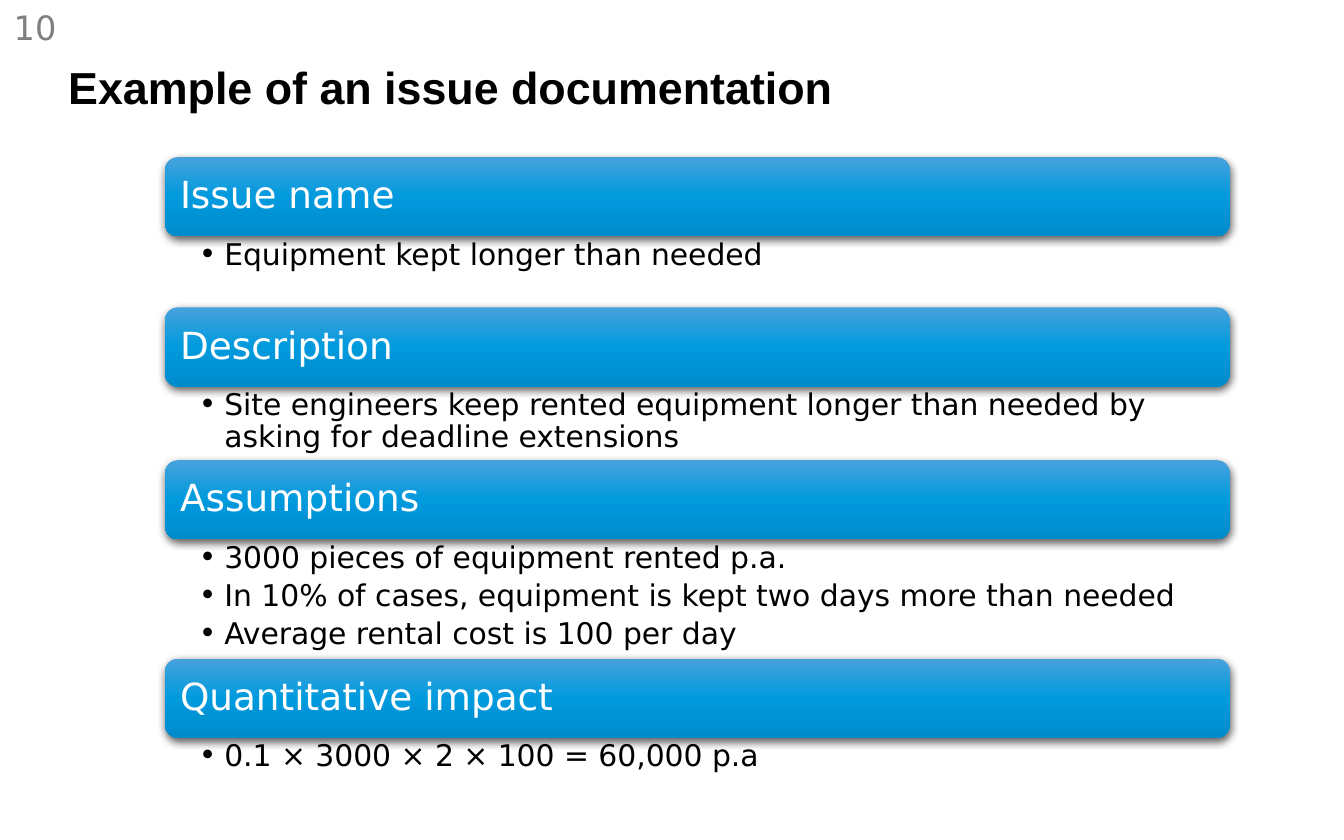
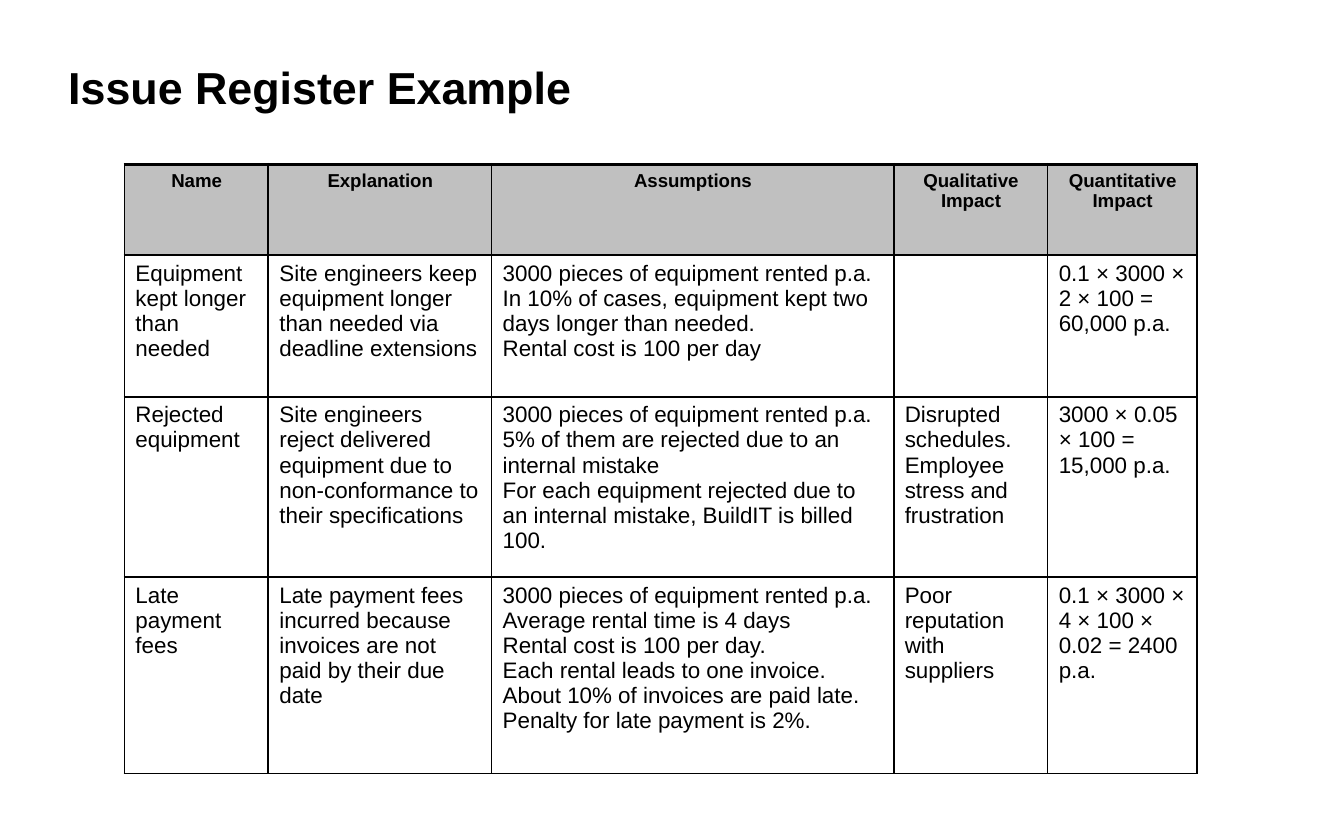
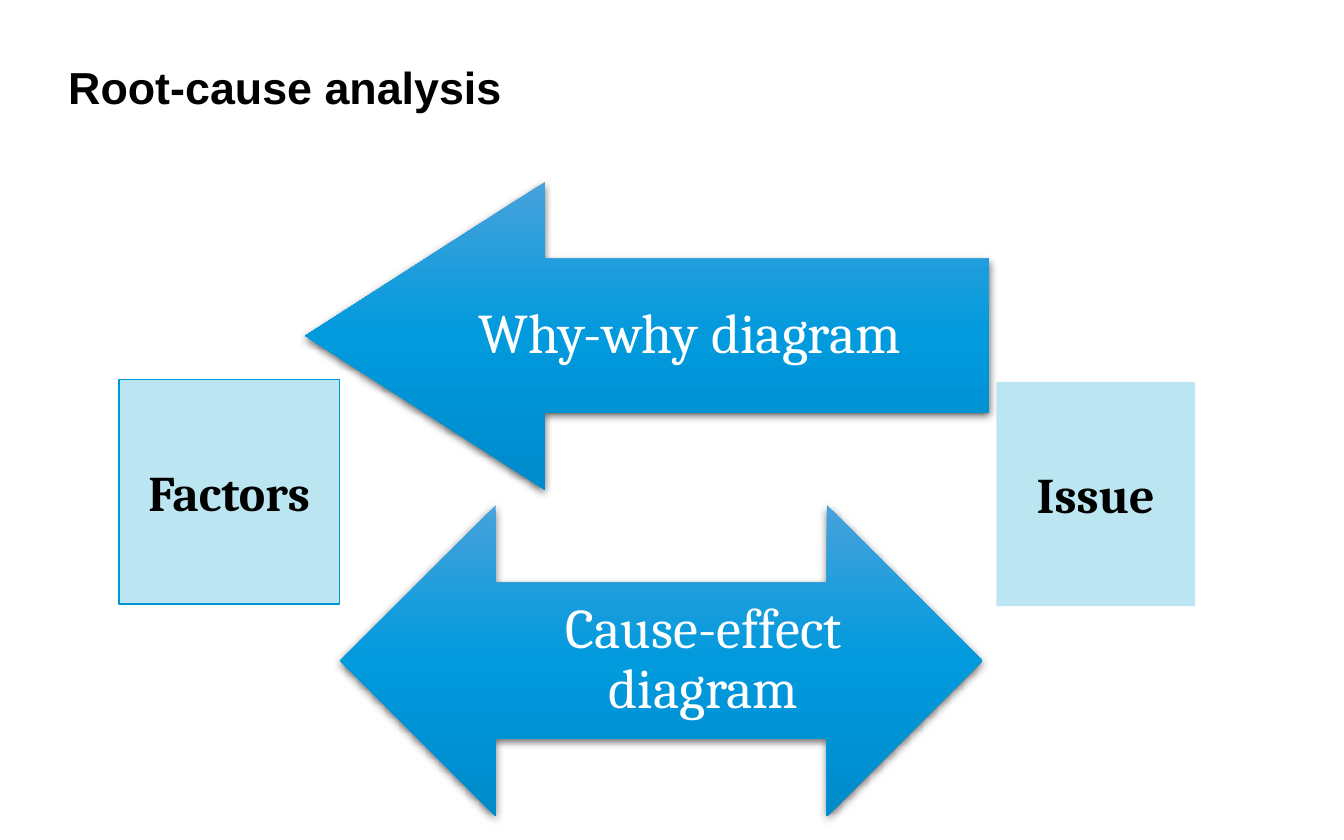
from dataclasses import dataclass

from lxml import etree
from pptx import Presentation
from pptx.dml.color import RGBColor
from pptx.enum.shapes import MSO_SHAPE
from pptx.enum.text import MSO_ANCHOR, PP_ALIGN
from pptx.oxml import parse_xml
from pptx.oxml.ns import nsdecls, qn
from pptx.util import Cm, Pt

ROUNDED = MSO_SHAPE.ROUNDED_RECTANGLE
RECTANGLE = MSO_SHAPE.RECTANGLE
DOUBLE_ARROW = MSO_SHAPE.LEFT_RIGHT_ARROW
TOP, MIDDLE = MSO_ANCHOR.TOP, MSO_ANCHOR.MIDDLE
LEFT, CENTER = PP_ALIGN.LEFT, PP_ALIGN.CENTER

BLACK = RGBColor(0x00, 0x00, 0x00)
WHITE = RGBColor(0xFF, 0xFF, 0xFF)
GRAY = RGBColor(0x7F, 0x7F, 0x7F)
HEADER_GRAY = RGBColor(0xC0, 0xC0, 0xC0)
PALE_BLUE = RGBColor(0xBC, 0xE5, 0xF2)
OUTLINE_BLUE = RGBColor(0x00, 0x96, 0xD3)
GRADIENT_STOPS = (
    (0, RGBColor(0x47, 0xA2, 0xDC)),
    (50, RGBColor(0x00, 0x9A, 0xDD)),
    (100, RGBColor(0x00, 0x8B, 0xCB)),
)


@dataclass(frozen=True)
class Box:
    """Place and size in centimetres."""
    left: float
    top: float
    width: float
    height: float

    def lengths(self):
        return Cm(self.left), Cm(self.top), Cm(self.width), Cm(self.height)


@dataclass(frozen=True)
class TextStyle:
    font: str
    size: float
    color: RGBColor = BLACK
    bold: bool = False
    align: PP_ALIGN = LEFT
    line_spacing: float = 1.0
    space_between: float = 0
    bullet: str = ""


@dataclass(frozen=True)
class Section:
    heading: str
    bullets: tuple[str, ...]
    body_height: float


@dataclass(frozen=True)
class Concept:
    name: str
    box: Box
    outlined: bool


TITLE_BOX = Box(1.29, 0.38, 19, 2.51)
NUMBER_BOX = Box(0, 0, 8.33, 8.33)
WHITE_BANDS = (Box(0.81, 2.72, 25.37, 0.66), Box(20.42, 14.12, 5.13, 1.93))
TITLE = TextStyle("Arial", 24, bold=True)
NUMBER = TextStyle("DejaVu Sans", 18, GRAY)
HEADING = TextStyle("DejaVu Sans", 20, WHITE, line_spacing=0.9)
BULLETS = TextStyle("DejaVu Sans", 16, line_spacing=0.9, space_between=3.2, bullet="•")
TABLE_HEADER = TextStyle("Arial", 10, bold=True, align=CENTER)
TABLE_BODY = TextStyle("Arial", 12)
ARROW_LABEL = TextStyle("Cambria", 30, WHITE, align=CENTER, line_spacing=0.9)
CONCEPT_LABEL = TextStyle("Cambria", 26.7, bold=True, align=CENTER)

BULLET_INDENT = Cm(0.48)
ARROW_MARGINS = (2.29, 0, 0.69, 0)

SECTIONS_LEFT, SECTIONS_TOP, SECTIONS_WIDTH = 3.12, 2.97, 20.12
HEADING_HEIGHT = 1.5
SECTIONS = (
    Section("Issue name", ("Equipment kept longer than needed",), 1.34),
    Section(
        "Description",
        ("Site engineers keep rented equipment longer than needed by "
         "asking for deadline extensions",),
        1.39,
    ),
    Section(
        "Assumptions",
        ("3000 pieces of equipment rented p.a.",
         "In 10% of cases, equipment is kept two days more than needed",
         "Average rental cost is 100 per day"),
        2.25,
    ),
    Section("Quantitative impact", ("0.1 × 3000 × 2 × 100 = 60,000 p.a",), 1.34),
)

REGISTER_LEFT, REGISTER_TOP = 2.35, 3.11
COLUMN_WIDTHS = (2.72, 4.22, 7.6, 2.91, 2.82)
ROW_HEIGHTS = (1.71, 2.68, 3.41, 3.71)
REGISTER = (
    (("Name",), ("Explanation",), ("Assumptions",),
     ("Qualitative Impact",), ("Quantitative Impact",)),
    (
        ("Equipment kept longer than needed",),
        ("Site engineers keep equipment longer than needed via deadline extensions",),
        ("3000 pieces of equipment rented p.a.",
         "In 10% of cases, equipment kept two days longer than needed.",
         "Rental cost is 100 per day"),
        (),
        ("0.1 × 3000 × 2 × 100 = 60,000 p.a.",),
    ),
    (
        ("Rejected equipment",),
        ("Site engineers reject delivered equipment due to non-conformance "
         "to their specifications",),
        ("3000 pieces of equipment rented p.a.",
         "5% of them are rejected due to an internal mistake",
         "For each equipment rejected due to an internal mistake, "
         "BuildIT is billed 100."),
        ("Disrupted schedules.", "Employee stress and frustration"),
        ("3000 × 0.05 × 100 = 15,000 p.a.",),
    ),
    (
        ("Late payment fees",),
        ("Late payment fees incurred because invoices are not paid by their due date",),
        ("3000 pieces of equipment rented p.a. Average rental time is 4 days",
         "Rental cost is 100 per day.",
         "Each rental leads to one invoice.",
         "About 10% of invoices are paid late.",
         "Penalty for late payment is 2%."),
        ("Poor reputation with suppliers",),
        ("0.1 × 3000 × 4 × 100 × 0.02 = 2400 p.a.",),
    ),
)

WHY_ARROW = Box(5.77, 3.44, 12.93, 5.82)
WHY_HEAD_LENGTH = 4.53
CAUSE_ARROW = Box(6.43, 9.55, 12.14, 5.88)
CONCEPTS = (
    Concept("Factors", Box(2.25, 7.18, 4.17, 4.24), True),
    Concept("Issue", Box(18.83, 7.22, 3.76, 4.24), False),
)


def set_values(target, values: dict) -> None:
    for name, value in values.items():
        setattr(target, name, value)


def add_bullet(paragraph, character: str, font: str) -> None:
    paragraph.level = 1
    properties = paragraph._p.get_or_add_pPr()
    properties.set("marL", str(BULLET_INDENT))
    properties.set("indent", str(-BULLET_INDENT))
    etree.SubElement(properties, qn("a:buFont"), typeface=font)
    etree.SubElement(properties, qn("a:buChar"), char=character)


def write_text(frame, lines: tuple[str, ...], style: TextStyle) -> None:
    for index, line in enumerate(lines):
        paragraph = frame.add_paragraph() if index else frame.paragraphs[0]
        if style.bullet:
            add_bullet(paragraph, style.bullet, style.font)
        set_values(paragraph, {
            "alignment": style.align,
            "line_spacing": style.line_spacing,
            "space_before": Pt(style.space_between if index else 0),
        })
        run = paragraph.add_run()
        run.text = line
        set_values(run.font, {
            "name": style.font, "size": Pt(style.size), "bold": style.bold,
        })
        run.font.color.rgb = style.color


def fill_frame(shape, lines: tuple[str, ...], style: TextStyle,
               margins: tuple = (0, 0, 0, 0), anchor: MSO_ANCHOR = MIDDLE) -> None:
    """Write lines in a shape; margins run left, top, right, bottom in cm."""
    left, top, right, bottom = map(Cm, margins)
    set_values(shape.text_frame, {
        "word_wrap": True, "vertical_anchor": anchor,
        "margin_left": left, "margin_top": top,
        "margin_right": right, "margin_bottom": bottom,
    })
    write_text(shape.text_frame, lines, style)


def add_text(slide, box: Box, lines: tuple[str, ...], style: TextStyle,
             margins: tuple = (0, 0, 0, 0), anchor: MSO_ANCHOR = MIDDLE) -> None:
    fill_frame(slide.shapes.add_textbox(*box.lengths()), lines, style, margins, anchor)


def add_rectangle(slide, box: Box, fill: RGBColor,
                  line: RGBColor | None = None, line_width: float = 1):
    shape = slide.shapes.add_shape(RECTANGLE, *box.lengths())
    shape.shadow.inherit = False
    shape.fill.solid()
    shape.fill.fore_color.rgb = fill
    if line is None:
        shape.line.fill.background()
    else:
        shape.line.color.rgb = line
        shape.line.width = Pt(line_width)
    return shape


def apply_glossy_style(shape) -> None:
    """Give a shape the blue vertical gradient and a soft shadow below it."""
    shape.fill.background()
    shape.line.fill.background()
    shape.shadow.inherit = False
    stops = "".join(
        f'<a:gs pos="{position * 1000}"><a:srgbClr val="{color}"/></a:gs>'
        for position, color in GRADIENT_STOPS
    )
    gradient = parse_xml(
        f'<a:gradFill {nsdecls("a")} rotWithShape="1"><a:gsLst>{stops}</a:gsLst>'
        '<a:lin ang="5400000" scaled="0"/></a:gradFill>'
    )
    shadow = parse_xml(
        f'<a:outerShdw {nsdecls("a")} blurRad="{Pt(4.5)}" dist="{Pt(1.5)}" '
        'dir="5400000" rotWithShape="0">'
        f'<a:srgbClr val="{BLACK}"><a:alpha val="62000"/></a:srgbClr></a:outerShdw>'
    )
    properties = shape._element.spPr
    properties.replace(properties.find(qn("a:noFill")), gradient)
    properties.find(qn("a:effectLst")).append(shadow)


def add_titled_slide(presentation, title: str):
    slide = presentation.slides.add_slide(presentation.slide_layouts[6])
    for band in WHITE_BANDS:
        add_rectangle(slide, band, WHITE, WHITE)
    add_text(slide, TITLE_BOX, (title,), TITLE)
    return slide


def add_section(slide, section: Section, top: float) -> None:
    heading_box = Box(SECTIONS_LEFT, top, SECTIONS_WIDTH, HEADING_HEIGHT)
    heading = slide.shapes.add_shape(ROUNDED, *heading_box.lengths())
    apply_glossy_style(heading)
    fill_frame(heading, (section.heading,), HEADING, (0.21, 0.2, 0.21, 0.2))
    body_box = Box(SECTIONS_LEFT, top + HEADING_HEIGHT, SECTIONS_WIDTH, section.body_height)
    add_text(slide, body_box, section.bullets, BULLETS, (0.64, 0.06, 0.31, 0.05), TOP)


def set_cell_borders(cell, top_width: float) -> None:
    properties = cell._tc.get_or_add_tcPr()
    widths = {"lnL": 1, "lnR": 1, "lnT": top_width, "lnB": 1}
    for index, (side, width) in enumerate(widths.items()):
        properties.insert(index, parse_xml(
            f'<a:{side} {nsdecls("a")} w="{Pt(width)}"><a:solidFill>'
            f'<a:srgbClr val="{BLACK}"/></a:solidFill></a:{side}>'
        ))


def add_register(slide) -> None:
    box = Box(REGISTER_LEFT, REGISTER_TOP, sum(COLUMN_WIDTHS), sum(ROW_HEIGHTS))
    table = slide.shapes.add_table(
        len(ROW_HEIGHTS), len(COLUMN_WIDTHS), *box.lengths()).table
    set_values(table, {"first_row": False, "horz_banding": False})
    for column, width in zip(table.columns, COLUMN_WIDTHS):
        column.width = Cm(width)
    for row_index, (row, height) in enumerate(zip(table.rows, ROW_HEIGHTS)):
        row.height = Cm(height)
        is_header = row_index == 0
        for cell, lines in zip(row.cells, REGISTER[row_index]):
            set_values(cell, {
                "margin_left": Cm(0.21), "margin_right": Cm(0.2),
                "margin_top": Cm(0.11), "margin_bottom": Cm(0.1),
                "vertical_anchor": TOP,
            })
            if is_header:
                cell.fill.solid()
                cell.fill.fore_color.rgb = HEADER_GRAY
            else:
                cell.fill.background()
            set_cell_borders(cell, 2 if is_header else 1)
            write_text(cell.text_frame, lines, TABLE_HEADER if is_header else TABLE_BODY)


def build_left_arrow(slide, box: Box, head_length: float):
    """Outline a left arrow whose shaft is half as high as its head."""
    neck, right = box.left + head_length, box.left + box.width
    heights = [box.top + box.height * quarter / 4 for quarter in range(5)]
    corners = (
        (neck, heights[0]), (neck, heights[1]), (right, heights[1]),
        (right, heights[3]), (neck, heights[3]), (neck, heights[4]),
        (box.left, heights[2]),
    )
    start, *others = [(Cm(x), Cm(y)) for x, y in corners]
    builder = slide.shapes.build_freeform(*start)
    builder.add_line_segments(others, close=True)
    return builder.convert_to_shape()


def add_concept(slide, concept: Concept) -> None:
    outline = OUTLINE_BLUE if concept.outlined else None
    shape = add_rectangle(slide, concept.box, PALE_BLUE, outline, 0.75)
    fill_frame(shape, (concept.name,), CONCEPT_LABEL, (0.25, 0.13, 0.25, 0.15))


def add_documentation_slide(presentation) -> None:
    slide = add_titled_slide(presentation, "Example of an issue documentation")
    top = SECTIONS_TOP
    for section in SECTIONS:
        add_section(slide, section, top)
        top += HEADING_HEIGHT + section.body_height
    add_text(slide, NUMBER_BOX, ("10",), NUMBER, (0.26, 0.13, 0.25, 0.13), TOP)


def add_register_slide(presentation) -> None:
    add_register(add_titled_slide(presentation, "Issue Register Example"))


def add_root_cause_slide(presentation) -> None:
    slide = add_titled_slide(presentation, "Root-cause analysis")
    why_arrow = build_left_arrow(slide, WHY_ARROW, WHY_HEAD_LENGTH)
    for concept in CONCEPTS:
        add_concept(slide, concept)
    cause_arrow = slide.shapes.add_shape(DOUBLE_ARROW, *CAUSE_ARROW.lengths())
    labels = {"Why-why diagram": why_arrow, "Cause-effect diagram": cause_arrow}
    for label, arrow in labels.items():
        apply_glossy_style(arrow)
        fill_frame(arrow, (label,), ARROW_LABEL, ARROW_MARGINS)


def main() -> None:
    presentation = Presentation()
    set_values(presentation, {"slide_width": Cm(25.4), "slide_height": Cm(15.88)})
    add_documentation_slide(presentation)
    add_register_slide(presentation)
    add_root_cause_slide(presentation)
    presentation.save("out.pptx")


if __name__ == "__main__":
    main()
